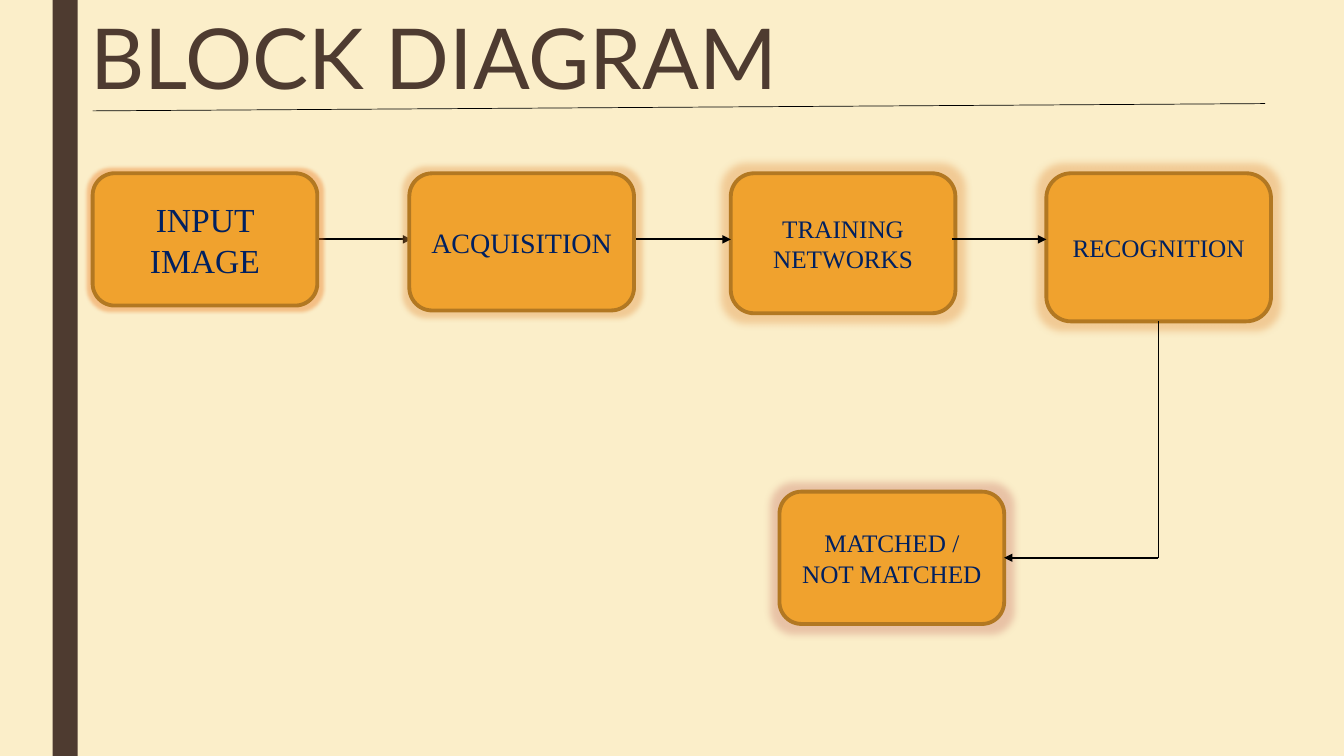
import pptx
import pptx.util
import pptx.dml.color
import pptx.enum.shapes
import pptx.enum.text
import pptx.oxml
import pptx.oxml.ns

Pt = pptx.util.Pt
RGBColor = pptx.dml.color.RGBColor
Shape = pptx.enum.shapes.MSO_SHAPE
Anchor = pptx.enum.text.MSO_ANCHOR
Align = pptx.enum.text.PP_ALIGN
qn = pptx.oxml.ns.qn

CREAM = RGBColor(0xFB, 0xEE, 0xC9)
BROWN = RGBColor(0x4E, 0x3B, 0x30)
AMBER = RGBColor(0xF0, 0xA2, 0x2E)
BRONZE = RGBColor(0xB2, 0x78, 0x22)
NAVY = RGBColor(0x00, 0x20, 0x60)
BLACK = RGBColor(0x00, 0x00, 0x00)
ORANGE_GLOW = RGBColor(0xEC, 0x7A, 0x20)
SAND_GLOW = RGBColor(0xE4, 0x96, 0x47)
RUST_GLOW = RGBColor(0xCE, 0x82, 0x71)

STEP_WIDTH = 160.5
STEP_TOP = 123.8


class Diagram:
    title_font = "Lato"
    step_font = "Times New Roman"

    def __init__(self, slide):
        self.slide = slide
        slide.background.fill.solid()
        slide.background.fill.fore_color.rgb = CREAM

    def add_words(self, paragraph, words, font, size, color):
        run = paragraph.add_run()
        run.text = words
        run.font.name = font
        run.font.size = Pt(size)
        run.font.color.rgb = color

    def title(self, words, left, top, width, height):
        heading = self.slide.shapes.title
        heading.left, heading.top = Pt(left), Pt(top)
        heading.width, heading.height = Pt(width), Pt(height)
        frame = heading.text_frame
        frame.word_wrap = True
        frame.auto_size = pptx.enum.text.MSO_AUTO_SIZE.NONE
        frame.vertical_anchor = Anchor.TOP
        paragraph = frame.paragraphs[0]
        paragraph.alignment = Align.LEFT
        paragraph.line_spacing = 0.89
        self.add_words(paragraph, words, self.title_font, 60, BROWN)

    def block(self, kind, left, top, width, height, fill):
        block = self.slide.shapes.add_shape(kind, Pt(left), Pt(top), Pt(width), Pt(height))
        block.shadow.inherit = False
        block.fill.solid()
        block.fill.fore_color.rgb = fill
        block.line.fill.background()
        return block

    def step(self, words, left, top, height, size, glow_color, glow_radius):
        step = self.block(Shape.ROUNDED_RECTANGLE, left, top, STEP_WIDTH, height, AMBER)
        step.line.color.rgb = BRONZE
        step.line.width = Pt(2.75)
        effects = step._element.spPr.find(qn("a:effectLst"))
        glow = effects.makeelement(qn("a:glow"), {"rad": str(Pt(glow_radius))})
        effects.append(glow)
        color = glow.makeelement(qn("a:srgbClr"), {"val": str(glow_color)})
        glow.append(color)
        color.append(color.makeelement(qn("a:alpha"), {"val": "40000"}))
        frame = step.text_frame
        frame.word_wrap = True
        frame.vertical_anchor = Anchor.MIDDLE
        frame.paragraphs[0].alignment = Align.CENTER
        self.add_words(frame.paragraphs[0], words, self.step_font, size, NAVY)

    def line(self, x1, y1, x2, y2, weight=0.5):
        line = self.slide.shapes.add_connector(
            pptx.enum.shapes.MSO_CONNECTOR.STRAIGHT, Pt(x1), Pt(y1), Pt(x2), Pt(y2))
        line.line.color.rgb = BLACK
        line.line.width = Pt(weight)
        properties = line._element.spPr
        properties.append(properties.makeelement(qn("a:effectLst"), {}))
        return line

    def arrow(self, x1, y1, x2, y2):
        outline = self.line(x1, y1, x2, y2, 1.5)._element.spPr.find(qn("a:ln"))
        outline.append(outline.makeelement(qn("a:tailEnd"), {"type": "triangle"}))


def main():
    deck = pptx.Presentation()
    deck.slide_width, deck.slide_height = Pt(960), Pt(540)
    diagram = Diagram(deck.slides.add_slide(deck.slide_layouts[5]))

    diagram.block(Shape.RECTANGLE, 37.5, 0, 18, 540, BROWN)
    diagram.title("BLOCK DIAGRAM", 57.6, 9.4, 806.4, 162)
    diagram.line(66.2, 79.2, 903.6, 74)

    diagram.arrow(226.8, 171, 293.8, 171)
    steps = [
        ("INPUT IMAGE", 66.2, STEP_TOP, 94.5, 24, ORANGE_GLOW, 5),
        ("ACQUISITION", 292.4, STEP_TOP, 98, 20, SAND_GLOW, 8),
        ("TRAINING NETWORKS", 522, STEP_TOP, 100, 18, SAND_GLOW, 11),
        ("RECOGNITION", 747.4, STEP_TOP, 105.8, 18, SAND_GLOW, 11),
        ("MATCHED / NOT MATCHED", 556.8, 351.2, 94.5, 18, RUST_GLOW, 11),
    ]
    for step in steps:
        diagram.step(*step)

    for start, end in [(454.3, 522), (679.7, 747.4)]:
        diagram.arrow(start, 171, end, 171)
    diagram.arrow(827.4, 398.4, 717.2, 398.4)
    diagram.line(827.4, 229.6, 827.4, 398.4)

    deck.save("out.pptx")


if __name__ == "__main__":
    main()
